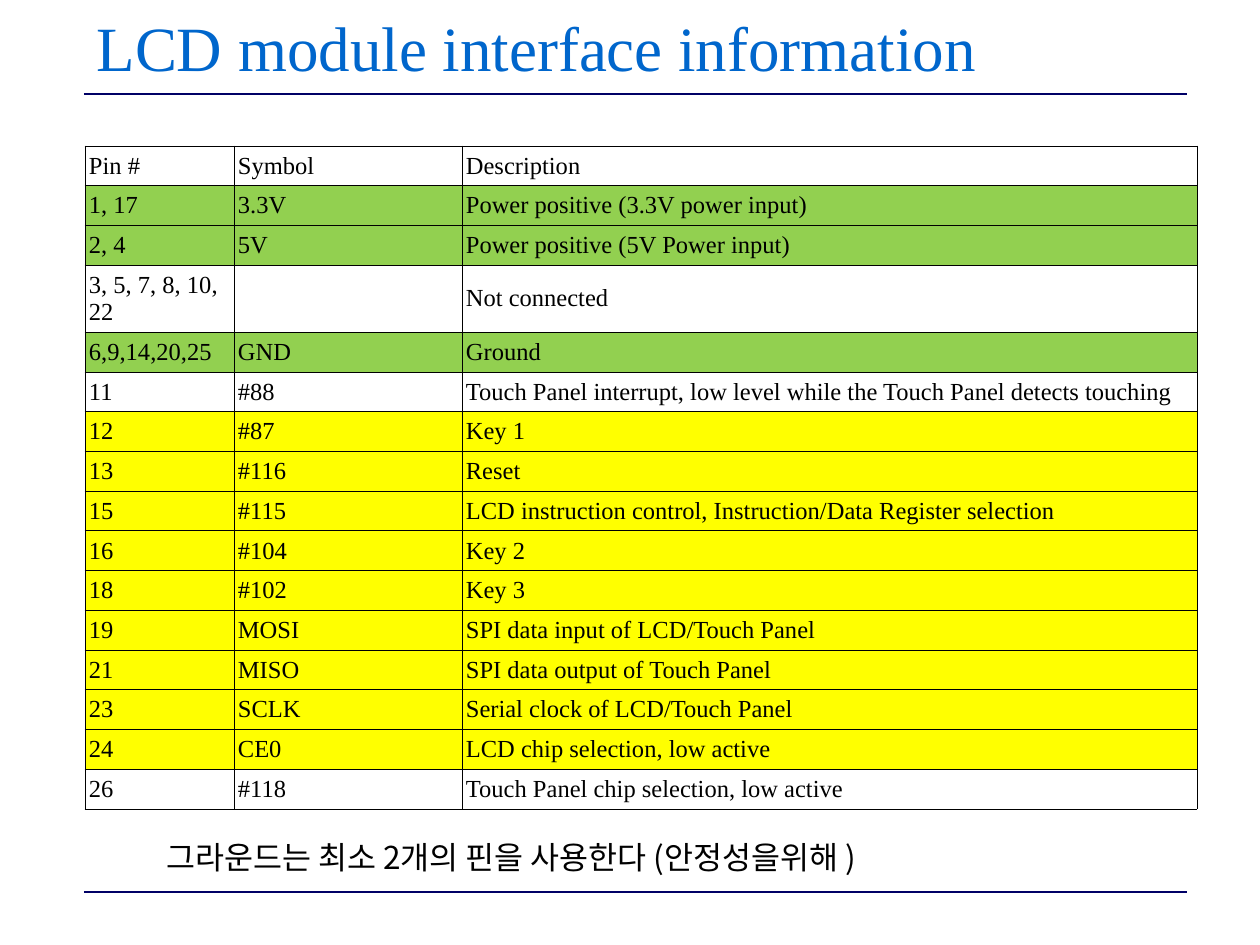
"""Build the slide that lists the pins of the LCD module interface."""
from lxml.etree import SubElement
from pptx import Presentation
from pptx.dml.color import RGBColor
from pptx.enum.shapes import MSO_CONNECTOR as Connector
from pptx.enum.text import MSO_ANCHOR as Anchor, MSO_AUTO_SIZE as AutoSize, PP_ALIGN as Align
from pptx.oxml.ns import qn
from pptx.util import Pt

PX = 914400 // 126
SERIF, KOREAN = "Times New Roman", "Noto Sans CJK KR"
BLACK, BLUE, NAVY = "000000", "0066CC", "000066"
GREEN, YELLOW = "92D050", "FFFF00"

TITLE = "LCD module interface information"
NOTE = "그라운드는 최소 2개의 핀을 사용한다 (안정성을위해 )"
PINS = [
    ("Pin #", "Symbol", "Description", None),
    ("1, 17", "3.3V", "Power positive (3.3V power input)", GREEN),
    ("2, 4", "5V", "Power positive (5V Power input)", GREEN),
    ("3, 5, 7, 8, 10, 22", "", "Not connected", None),
    ("6,9,14,20,25", "GND", "Ground", GREEN),
    ("11", "#88", "Touch Panel interrupt, low level while the Touch Panel detects touching", None),
    ("12", "#87", "Key 1", YELLOW),
    ("13", "#116", "Reset", YELLOW),
    ("15", "#115", "LCD instruction control, Instruction/Data Register selection", YELLOW),
    ("16", "#104", "Key 2", YELLOW),
    ("18", "#102", "Key 3", YELLOW),
    ("19", "MOSI", "SPI data input of LCD/Touch Panel", YELLOW),
    ("21", "MISO", "SPI data output of Touch Panel", YELLOW),
    ("23", "SCLK", "Serial clock of LCD/Touch Panel", YELLOW),
    ("24", "CE0", "LCD chip selection, low active", YELLOW),
    ("26", "#118", "Touch Panel chip selection, low active", None),
]
COLUMN_WIDTHS = (149, 228, 735)
ROW_HEIGHT, TALL_ROW_HEIGHT, TALL_ROW = 38, 67, 3
LEFT, RIGHT = 84, 1187
RULE_TOPS = (892, 94)


def color(value):
    return RGBColor.from_string(value)


def px(*lengths):
    return [length * PX for length in lengths]


def write(frame, text, size, font_name, ink):
    frame.text = text
    para = frame.paragraphs[0]
    para.alignment = Align.LEFT
    para.font.size, para.font.name = Pt(size), font_name
    para.font.color.rgb = color(ink)
    return para


def add_rule(slide, top):
    rule = slide.shapes.add_connector(Connector.STRAIGHT, *px(LEFT, top, RIGHT, top))
    rule.line.color.rgb, rule.line.width = color(NAVY), Pt(1)
    SubElement(rule._element.spPr, qn("a:effectLst"))


def add_borders(cell):
    properties = cell._tc.get_or_add_tcPr()
    for index, side in enumerate(("lnL", "lnR", "lnT", "lnB")):
        border = SubElement(properties, qn(f"a:{side}"), w=str(Pt(0.45)))
        fill = SubElement(border, qn("a:solidFill"))
        SubElement(fill, qn("a:srgbClr"), val=BLACK)
        properties.insert(index, border)


def add_pin_table(slide):
    heights = [TALL_ROW_HEIGHT if row == TALL_ROW else ROW_HEIGHT for row in range(len(PINS))]
    area = px(85, 146, sum(COLUMN_WIDTHS), sum(heights))
    table = slide.shapes.add_table(len(PINS), len(COLUMN_WIDTHS), *area).table
    table.first_row = table.horz_banding = False
    for column, width in zip(table.columns, px(*COLUMN_WIDTHS)):
        column.width = width
    for row, height, (*texts, shade) in zip(table.rows, px(*heights), PINS):
        row.height = height
        for cell, text in zip(row.cells, texts):
            write(cell.text_frame, text, 14, SERIF, BLACK)
            cell.vertical_anchor = Anchor.MIDDLE
            cell.margin_left = cell.margin_right = 4 * PX
            if shade:
                cell.fill.solid()
                cell.fill.fore_color.rgb = color(shade)
            else:
                cell.fill.background()
            add_borders(cell)


def main():
    deck = Presentation()
    deck.slide_width, deck.slide_height = px(1260, 945)
    slide = deck.slides.add_slide(deck.slide_layouts[5])
    for top in RULE_TOPS:
        add_rule(slide, top)

    title = slide.shapes.title
    title.left, title.top, title.width, title.height = px(LEFT, 10, RIGHT - LEFT, 73)
    write(title.text_frame, TITLE, 36, SERIF, BLUE)
    title.text_frame.vertical_anchor = Anchor.MIDDLE
    title.text_frame.auto_size = AutoSize.NONE

    add_pin_table(slide)

    note = slide.shapes.add_textbox(*px(154, 832, 843, 50)).text_frame
    note.word_wrap, note.auto_size = True, AutoSize.SHAPE_TO_FIT_TEXT
    para = write(note, NOTE, 18, KOREAN, BLACK)
    span = para.runs[0].font
    span.name = KOREAN
    SubElement(span._element, qn("a:ea"), typeface=KOREAN)

    deck.save("out.pptx")


if __name__ == "__main__":
    main()
